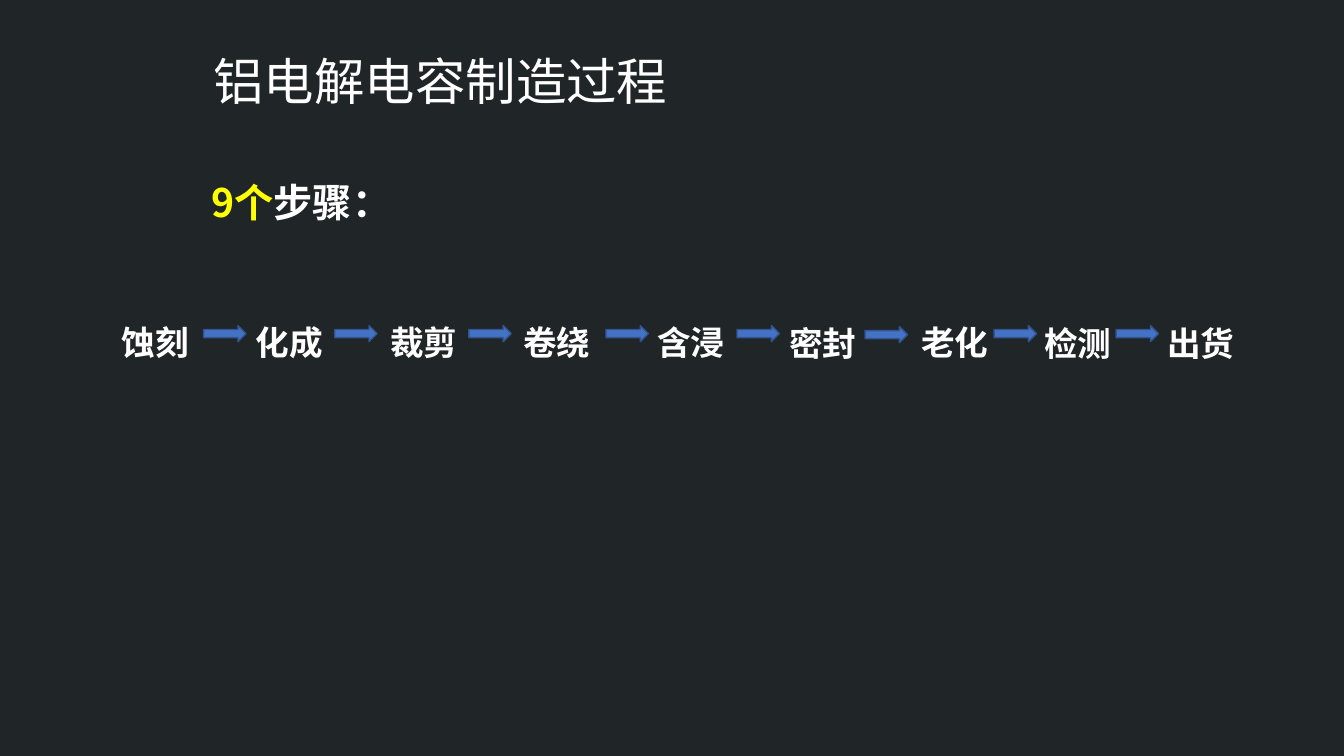
from dataclasses import dataclass

from lxml import etree
from pptx import Presentation
from pptx.dml.color import RGBColor
from pptx.enum.shapes import MSO_SHAPE
from pptx.enum.text import MSO_ANCHOR, PP_ALIGN
from pptx.oxml.ns import qn
from pptx.util import Inches, Pt

RECT = MSO_SHAPE.RECTANGLE
RIGHT_ARROW = MSO_SHAPE.RIGHT_ARROW
LEFT = PP_ALIGN.LEFT
TOP = MSO_ANCHOR.TOP

FONT = "Noto Sans CJK SC"
DARK, WHITE, YELLOW = "202527", "FFFFFF", "FFFF00"
BLUE, BLUE_EDGE = "4472C4", "325491"


@dataclass
class Step:
    name: str
    left: float
    top: float = 2.94
    arrow_left: float | None = None  # arrow to the next step
    arrow_top: float = 3.23


STEPS = [
    Step("蚀刻", 1.11, arrow_left=2.02),
    Step("化成", 2.44, arrow_left=3.32),
    Step("裁剪", 3.77, arrow_left=4.65),
    Step("卷绕", 5.09, arrow_left=6.01),
    Step("含浸", 6.42, arrow_left=7.31),
    Step("密封", 7.73, top=2.95, arrow_left=8.58, arrow_top=3.24),
    Step("老化", 9.04, arrow_left=9.86),
    Step("检测", 10.26, top=2.95, arrow_left=11.07),
    Step("出货", 11.48, top=2.95),
]


def rgb(color: str) -> RGBColor:
    return RGBColor.from_string(color)


def add_run(p, text: str, *, size: float, color: str = WHITE, bold: bool = False) -> None:
    r = p.add_run()
    r.text = text
    r.font.size, r.font.bold, r.font.name = Pt(size), bold, FONT
    r.font.color.rgb = rgb(color)
    # East Asian typeface
    etree.SubElement(r.font._element, qn("a:ea")).set("typeface", FONT)


def add_shape(s, kind, left: float, top: float, width: float, height: float, *,
              fill: str, line: str | None = None):
    sp = s.shapes.add_shape(kind, Inches(left), Inches(top), Inches(width), Inches(height))
    sp.shadow.inherit = False
    sp.fill.solid()
    sp.fill.fore_color.rgb = rgb(fill)
    if line:
        sp.line.color.rgb = rgb(line)
        sp.line.width = Pt(1)
    else:
        sp.line.fill.background()
    return sp


def add_text(s, left: float, top: float, width: float, height: float):
    tf = s.shapes.add_textbox(Inches(left), Inches(top), Inches(width), Inches(height)).text_frame
    tf.word_wrap = True
    p = tf.paragraphs[0]
    p.line_spacing = 1.5
    return p


def main() -> None:
    prs = Presentation()
    prs.slide_width, prs.slide_height = Inches(13.33), Inches(7.5)
    s = prs.slides.add_slide(prs.slide_layouts[6])
    s.background.fill.solid()
    s.background.fill.fore_color.rgb = rgb(DARK)

    # Title
    tf = add_shape(s, RECT, 2.02, 0.45, 10.03, 0.71, fill=DARK).text_frame
    tf.word_wrap = True
    tf.vertical_anchor = TOP
    p = tf.paragraphs[0]
    p.alignment = LEFT
    add_run(p, "铝电解电容制造过程", size=36)

    # Step count
    p = add_text(s, 2, 1.49, 10.74, 0.73)
    add_run(p, "9个", size=28, color=YELLOW, bold=True)
    add_run(p, "步骤：", size=28, bold=True)

    # Process chain
    for step in STEPS:
        p = add_text(s, step.left, step.top, 1.02, 0.64)
        add_run(p, step.name, size=24, bold=True)
        if step.arrow_left is not None:
            add_shape(s, RIGHT_ARROW, step.arrow_left, step.arrow_top, 0.42, 0.16,
                      fill=BLUE, line=BLUE_EDGE)

    prs.save("out.pptx")


if __name__ == "__main__":
    main()
